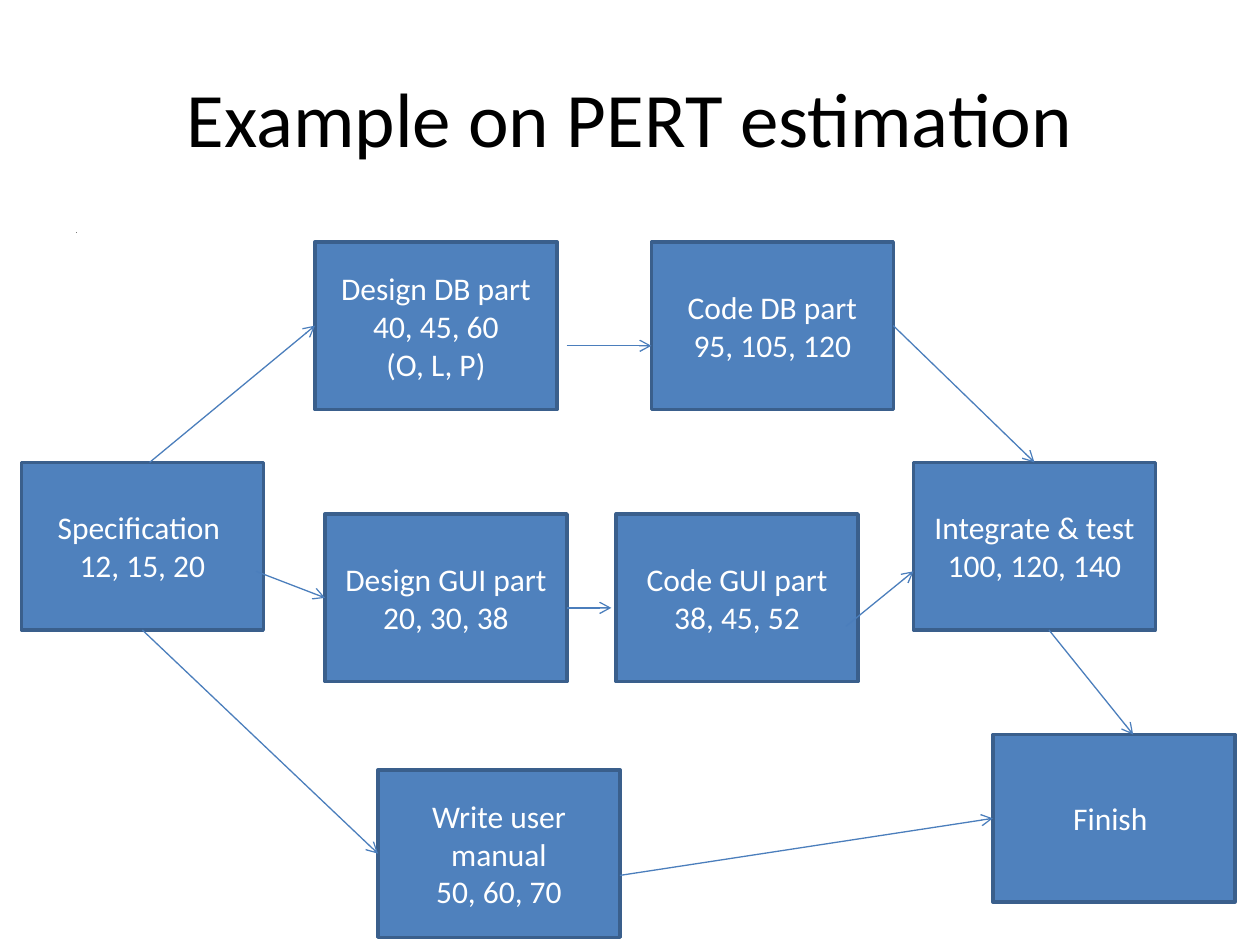
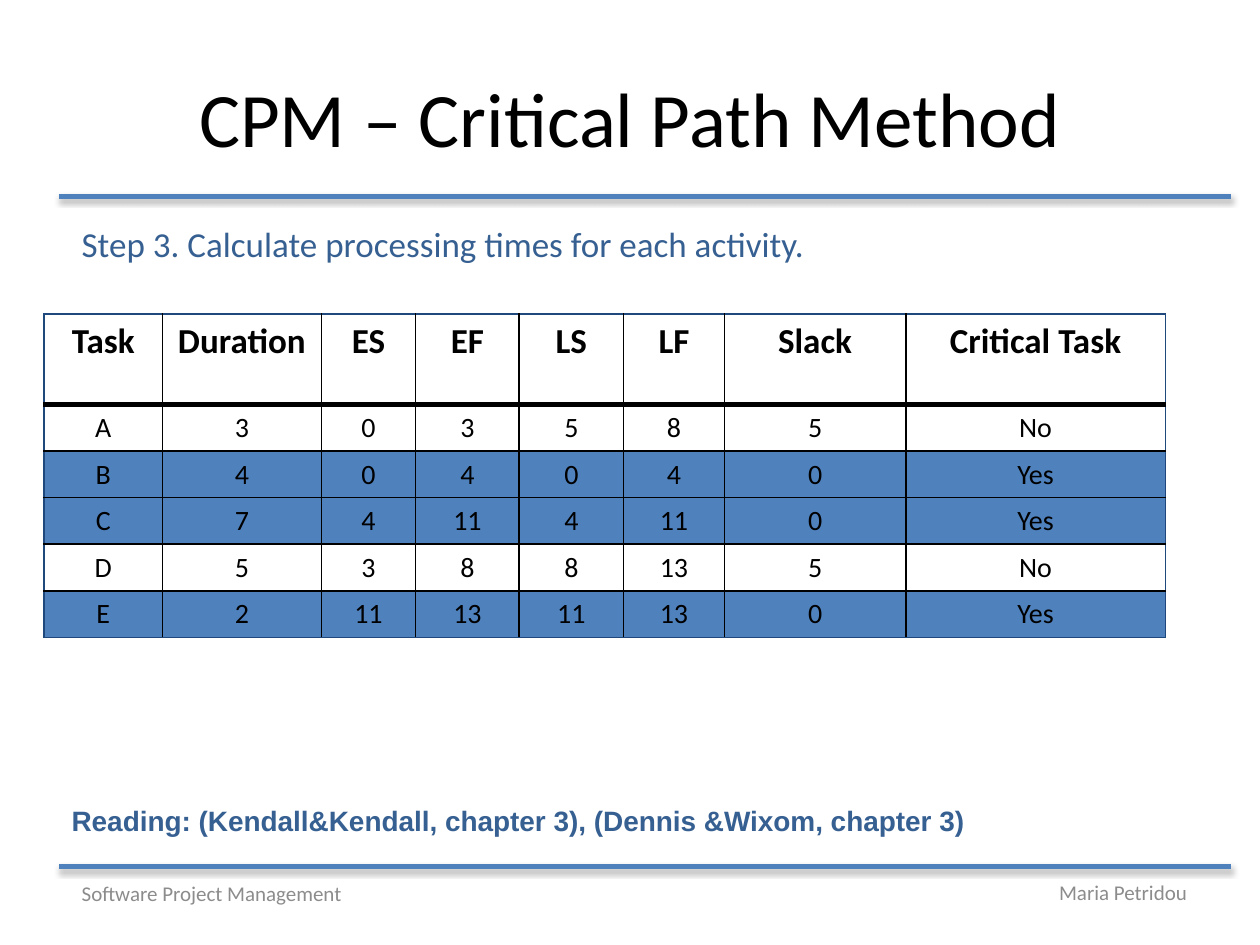
"""Build two slides on planning: a PERT network and a CPM table."""
import pptx
import pptx.util
import pptx.dml.color
import pptx.enum.shapes
import pptx.enum.text
import pptx.oxml
import pptx.oxml.ns

RGB = pptx.dml.color.RGBColor
BLACK = RGB(0x00, 0x00, 0x00)
WHITE = RGB(0xFF, 0xFF, 0xFF)
BLUE = RGB(0x4F, 0x81, 0xBD)
EDGE = RGB(0x3A, 0x5F, 0x8C)
ARROW = RGB(0x4B, 0x7E, 0xBC)
NAVY = RGB(0x1F, 0x49, 0x7D)
STEEL = RGB(0x37, 0x60, 0x92)
GREY = RGB(0x8C, 0x8C, 0x8C)
FONT = "Calibri"
ALIGN = pptx.enum.text.PP_ALIGN
ANCHOR = pptx.enum.text.MSO_ANCHOR
INCH, PT = pptx.util.Inches, pptx.util.Pt
PAGE = (10, 7.5)

TASK_W, TASK_H = 1.92, 1.33
TASKS = {
    "spec": (0.17, 3.67, ["Specification ", "12, 15, 20"]),
    "finish": (7.88, 5.83, ["Finish "]),
    "plan_gui": (2.58, 4.08, ["Design GUI part", "20, 30, 38"]),
    "code_gui": (4.89, 4.08, ["Code GUI part", "38, 45, 52"]),
    "test": (7.25, 3.67, ["Integrate & test", "100, 120, 140"]),
    "code_db": (5.17, 1.92, ["Code DB part", "95, 105, 120"]),
    "plan_db": (2.5, 1.92, ["Design DB part", "40, 45, 60", "(O, L, P)"]),
    "manual": (3, 6.11, ["Write user manual", "50, 60, 70"]),
}
LINKS = [
    ("spec", 0.53, 0, "plan_db", 0, 0.5),
    ("test", 0.56, 1, "finish", 0.58, 0),
    ("code_db", 1, 0.5, "test", 0.5, 0),
    ("manual", 1, 0.63, "finish", 0, 0.5),
    ("spec", 0.5, 1, "manual", 0, 0.5),
    ("code_gui", 0.95, 0.67, "test", 0, 0.65),
    ("plan_gui", 1, 0.56, "code_gui", -0.02, 0.56),
    ("spec", 0.97, 0.65, "plan_gui", 0, 0.5),
    ("plan_db", 1.04, 0.62, "code_db", 0, 0.62),
]
HEADS = ["Task", "Duration", "ES", "EF", "LS", "LF", "Slack", "Critical Task"]
TIMES = [
    ("A", 3, 0, 3, 5, 8, 5, "No"),
    ("B", 4, 0, 4, 0, 4, 0, "Yes"),
    ("C", 7, 4, 11, 4, 11, 0, "Yes"),
    ("D", 5, 3, 8, 8, 13, 5, "No"),
    ("E", 2, 11, 13, 11, 13, 0, "Yes"),
]
WIDTHS = [0.94, 1.26, 0.75, 0.82, 0.83, 0.8, 1.44, 2.06]
HEAD_H, ROW_H = 0.72, 0.37
BANDS = [1.56, 6.88]
LEFT, MID, RIGHT = ALIGN.LEFT, ALIGN.CENTER, ALIGN.RIGHT
NOTES = [
    ((0.55, 6.88, 2.66, 0.42), "Software Project Management",
     12, GREY, LEFT, ANCHOR.MIDDLE, FONT, False),
    ((6.02, 6.88, 3.5, 0.4), "Maria Petridou",
     12, GREY, RIGHT, ANCHOR.MIDDLE, FONT, False),
    ((0.55, 1.72, 8.44, 0.44),
     "Step 3. Calculate processing times for each activity.",
     20, STEEL, LEFT, ANCHOR.TOP, FONT, False),
    ((0.47, 6.33, 7.5, 0.37),
     "Reading: (Kendall&Kendall, chapter 3), (Dennis &Wixom, chapter 3)",
     16, STEEL, LEFT, ANCHOR.TOP, "Arial", True),
]


def add_xml(parent, tag, body="", **attrs):
    """Append one drawing element to a parent."""
    text = "".join(f' {key}="{val}"' for key, val in attrs.items())
    space = pptx.oxml.ns.nsdecls("a")
    parent.append(pptx.oxml.parse_xml(
        f"<a:{tag} {space}{text}>{body}</a:{tag}>"))


def place(shape, *box):
    """Set a shape's left, top, width and height in inches."""
    shape.left, shape.top, shape.width, shape.height = map(INCH, box)


def style(para, size, color, align=LEFT, font=FONT, bold=False):
    """Format one paragraph."""
    para.alignment = align
    para.font.size = PT(size)
    para.font.color.rgb = color
    para.font.name = font
    para.font.bold = bold


def add_slide(deck, layout, title):
    """Add a slide with the shared title."""
    slide = deck.slides.add_slide(deck.slide_layouts[layout])
    head = slide.shapes.title
    place(head, 0.5, 0.3, 9, 1.25)
    head.text_frame.text = title
    head.text_frame.vertical_anchor = ANCHOR.MIDDLE
    style(head.text_frame.paragraphs[0], 44, BLACK, MID)
    return slide


def add_line(slide, start, end, color, width, effect=""):
    """Draw a straight line with an optional effect."""
    line = slide.shapes.add_connector(
        pptx.enum.shapes.MSO_CONNECTOR.STRAIGHT, *map(INCH, start + end))
    line.line.color.rgb = color
    line.line.width = PT(width)
    add_xml(line._element.spPr, "effectLst", effect)
    return line


def add_task(slide, left, top, lines):
    """Draw one task box."""
    box = slide.shapes.add_shape(
        pptx.enum.shapes.MSO_SHAPE.RECTANGLE,
        *map(INCH, (left, top, TASK_W, TASK_H)))
    box.shadow.inherit = False
    box.fill.solid()
    box.fill.fore_color.rgb = BLUE
    box.line.color.rgb = EDGE
    box.line.width = PT(2)
    box.text_frame.text = "\n".join(lines)
    box.text_frame.word_wrap = True
    box.text_frame.vertical_anchor = ANCHOR.MIDDLE
    for para in box.text_frame.paragraphs:
        style(para, 18, WHITE, MID)


def spot(name, across, down):
    """Find a point as shares of a task box."""
    left, top, _ = TASKS[name]
    return (left + across * TASK_W, top + down * TASK_H)


def add_note(slide, box, text, size, color, align, anchor, font, bold):
    """Add a line of text."""
    frame = slide.shapes.add_textbox(*map(INCH, box)).text_frame
    frame.word_wrap = True
    frame.vertical_anchor = anchor
    frame.text = text
    style(frame.paragraphs[0], size, color, align, font, bold)


def add_edge(cell, side, color, width):
    """Draw one border of a cell."""
    add_xml(cell._tc.get_or_add_tcPr(), "ln" + side,
            f'<a:solidFill><a:srgbClr val="{color}"/></a:solidFill>',
            w=PT(width))


def add_times(slide):
    """Draw the table, with critical tasks filled."""
    rows = [HEADS] + TIMES
    last, end = len(rows) - 1, len(HEADS) - 1
    table = slide.shapes.add_table(
        len(rows), len(HEADS), INCH(0.35), INCH(2.49), INCH(sum(WIDTHS)),
        INCH(HEAD_H + last * ROW_H)).table
    table.first_row = table.horz_banding = False
    for col, width in zip(table.columns, WIDTHS):
        col.width = INCH(width)
    for r, row in enumerate(rows):
        table.rows[r].height = INCH(ROW_H if r else HEAD_H)
        for c, value in enumerate(row):
            cell = table.cell(r, c)
            for side, outer, thick in (
                    ("L", c == 0, False), ("R", c == end, False),
                    ("T", r == 0, r == 1), ("B", r == last, r == 0)):
                add_edge(cell, side, NAVY if outer else BLACK,
                         3 if thick else 1)
            cell.fill.solid()
            cell.fill.fore_color.rgb = BLUE if row[-1] == "Yes" else WHITE
            cell.text = str(value)
            style(cell.text_frame.paragraphs[0], 16 if r else 20, BLACK,
                  MID, bold=r == 0)


def pert_slide(deck):
    """Build the task network."""
    slide = add_slide(deck, 1, "Example on PERT estimation")
    body = slide.placeholders[1]
    place(body, 0.5, 1.75, 9, 4.95)
    body.text_frame.text = "."
    para = body.text_frame.paragraphs[0]
    props = para._p.get_or_add_pPr()
    props.set("marL", "0")
    props.set("indent", "0")
    add_xml(props, "buNone")
    style(para, 4, BLACK)
    for task in TASKS.values():
        add_task(slide, *task)
    for link in LINKS:
        line = add_line(slide, spot(*link[:3]), spot(*link[3:]), ARROW, 0.75)
        add_xml(line.line._get_or_add_ln(), "tailEnd", type="arrow")


def cpm_slide(deck):
    """Build the table of times."""
    slide = add_slide(deck, 5, "CPM – Critical Path Method")
    shade = (f'<a:outerShdw blurRad="{PT(3.1)}" dist="{PT(1.8)}" '
             'dir="5400000" rotWithShape="0"><a:srgbClr val="000000">'
             '<a:alpha val="35000"/></a:srgbClr></a:outerShdw>')
    for top in BANDS:
        add_line(slide, (0.47, top), (9.77, top), BLUE, 3, shade)
    for note in NOTES:
        add_note(slide, *note)
    add_times(slide)


def main():
    """Build and save the deck."""
    deck = pptx.Presentation()
    deck.slide_width, deck.slide_height = map(INCH, PAGE)
    pert_slide(deck)
    cpm_slide(deck)
    deck.save("out.pptx")


if __name__ == "__main__":
    main()
